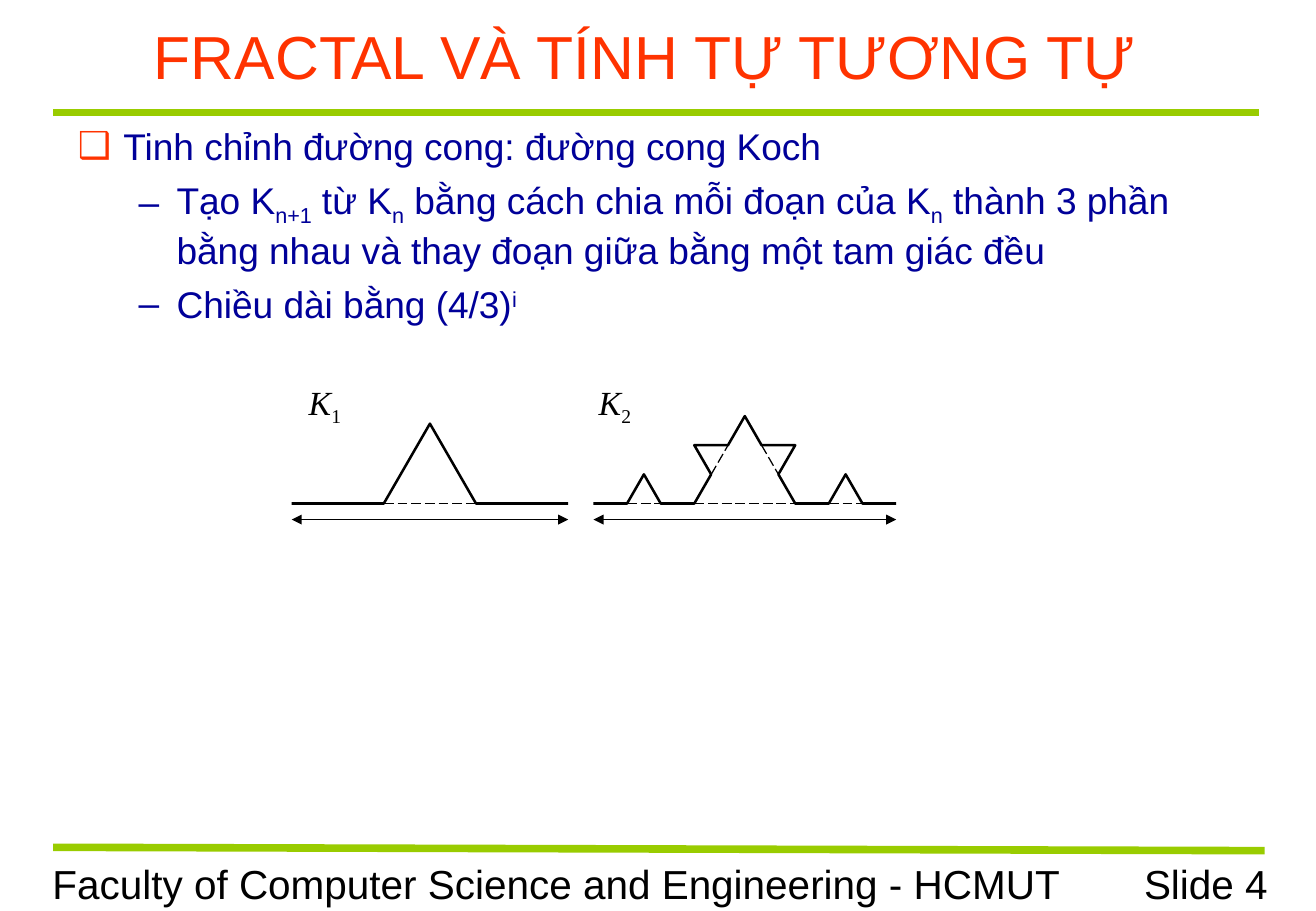
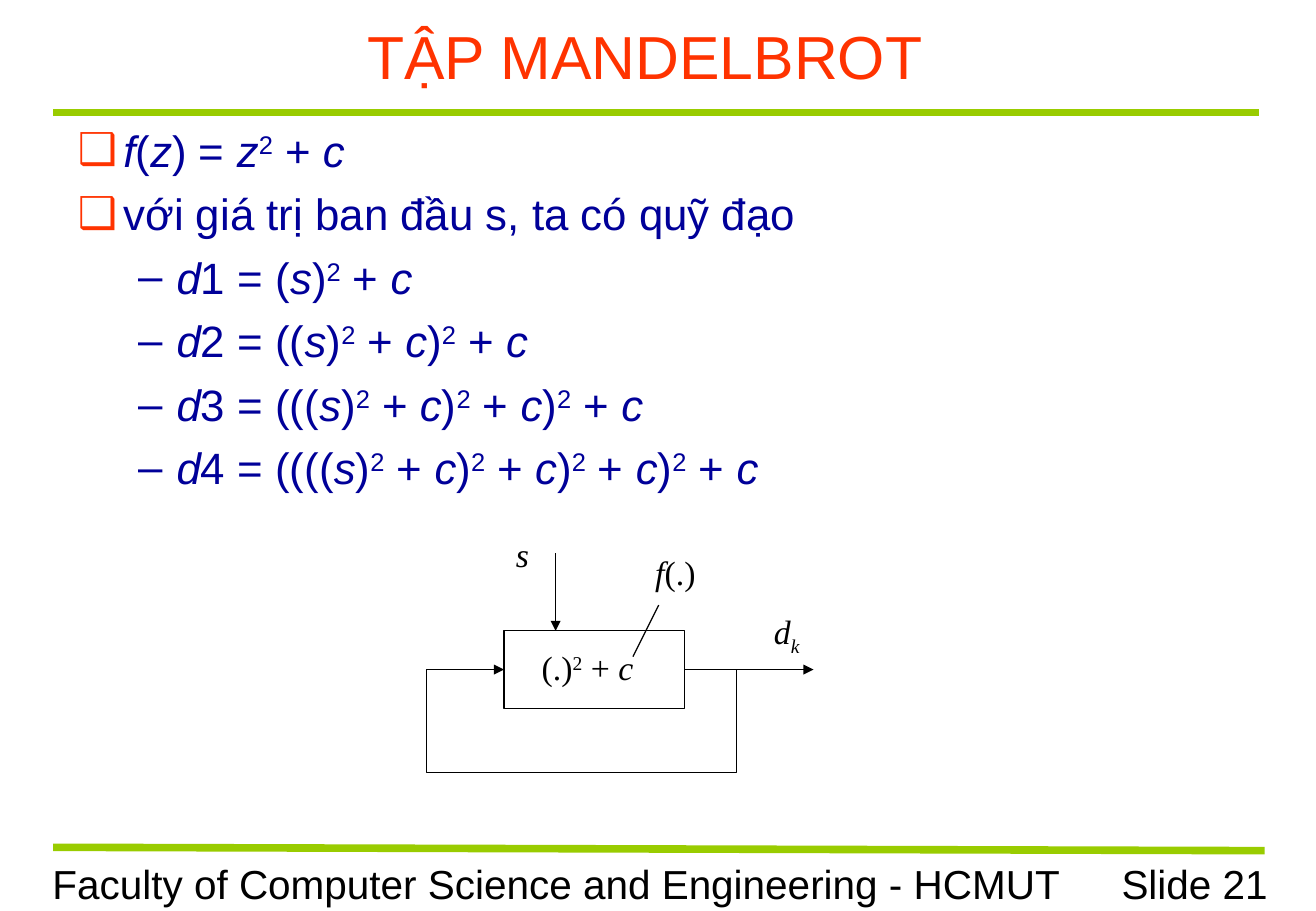
from math import cos, pi, sin

from lxml.etree import SubElement
from pptx import Presentation
from pptx.dml.color import RGBColor
from pptx.enum.dml import MSO_LINE
from pptx.enum.shapes import MSO_CONNECTOR, MSO_SHAPE
from pptx.enum.text import MSO_ANCHOR, MSO_AUTO_SIZE, PP_ALIGN
from pptx.oxml.ns import qn
from pptx.util import Pt

BLACK = RGBColor(0x00, 0x00, 0x00)
WHITE = RGBColor(0xFF, 0xFF, 0xFF)
GREEN = RGBColor(0x99, 0xCC, 0x00)
ORANGE = RGBColor(0xFF, 0x33, 0x00)
NAVY = RGBColor(0x00, 0x00, 0x99)
SANS, SERIF = "Arial", "Times New Roman"
FOOTER = "Faculty of Computer Science and Engineering - HCMUT"
BASELINES = {"^": "30000", "_": "-25000"}
# Bullet of each list level: sign, colour, left margin, hanging indent
BULLETS = [("❑", ORANGE, 27, 27), ("–", NAVY, 58.5, 22.5)]


# ---- Text ----
def add_runs(p, marked, size, color, font):
    """Runs are parted by |; a leading / is italic, ^ superscript, _ subscript."""
    for piece in marked.split("|"):
        baseline = BASELINES.get(piece[0])
        text = piece[1:] if baseline else piece
        italic = text.startswith("/")
        r = p.add_run()
        r.text = text[1:] if italic else text
        r.font.name, r.font.size = font, Pt(size)
        r.font.color.rgb = color
        r.font.italic = italic
        r.font.bold = False
        if baseline:
            r.font._element.set("baseline", baseline)


def place(sp, x, y, w, h):
    sp.left, sp.top, sp.width, sp.height = Pt(x), Pt(y), Pt(w), Pt(h)


def add_label(s, x, y, w, h, marked, size=20, font=SERIF, align=PP_ALIGN.LEFT):
    tf = s.shapes.add_textbox(Pt(x), Pt(y), Pt(w), Pt(h)).text_frame
    tf.word_wrap = True
    p = tf.paragraphs[0]
    p.alignment = align
    add_runs(p, marked, size, BLACK, font)


def add_bullet(p, level):
    sign, color, margin, hanging = BULLETS[level]
    p.level = level
    pPr = p._p.get_or_add_pPr()
    pPr.set("marL", str(Pt(margin)))
    pPr.set("indent", str(-Pt(hanging)))
    SubElement(SubElement(pPr, qn("a:buClr")), qn("a:srgbClr"), val=str(color))
    SubElement(pPr, qn("a:buChar"), char=sign)


# ---- Lines ----
def style_line(sp, width, color=BLACK, dash=None, ends=()):
    sp.line.width = Pt(width)
    sp.line.color.rgb = color
    if dash:
        sp.line.dash_style = dash
    ln = sp._element.spPr.find(qn("a:ln"))
    for end in ends:
        SubElement(ln, qn(f"a:{end}"), type="triangle")


def add_line(s, start, end, width=0.75, **style):
    points = [Pt(v) for v in (*start, *end)]
    sp = s.shapes.add_connector(MSO_CONNECTOR.STRAIGHT, *points)
    style_line(sp, width, **style)
    SubElement(sp._element.spPr, qn("a:effectLst"))
    return sp


def add_polyline(s, points, width, **style):
    first, *rest = [(Pt(x), Pt(y)) for x, y in points]
    builder = s.shapes.build_freeform(*first)
    builder.add_line_segments(rest, close=False)
    sp = builder.convert_to_shape()
    sp.fill.background()
    sp.shadow.inherit = False
    style_line(sp, width, **style)


# ---- Slide frame ----
def add_frame(prs, title, number):
    s = prs.slides.add_slide(prs.slide_layouts[1])
    add_label(s, 615.5, 505.5, 143.5, 36, f"Slide {number}", 24, SANS, PP_ALIGN.RIGHT)
    add_line(s, (31.5, 66.75), (746.5, 66.75), 4.5, color=GREEN)
    add_line(s, (31.5, 502.25), (750, 504.25), 4.5, color=GREEN)
    add_label(s, 24, 505.5, 613.5, 36, FOOTER, 24, SANS)

    place(s.shapes.title, 24, 7.5, 717, 50.5)
    tf = s.shapes.title.text_frame
    tf.auto_size = MSO_AUTO_SIZE.NONE
    tf.vertical_anchor = MSO_ANCHOR.MIDDLE
    p = tf.paragraphs[0]
    p.alignment = PP_ALIGN.CENTER
    add_runs(p, title, 36, ORANGE, SANS)
    return s


def fill_body(s, height, size, items):
    body = s.placeholders[1]
    place(body, 39, 69.5, 702, height)
    tf = body.text_frame
    tf.auto_size = MSO_AUTO_SIZE.NONE
    for i, (level, marked) in enumerate(items):
        p = tf.add_paragraph() if i else tf.paragraphs[0]
        add_bullet(p, level)
        p.space_before = Pt(size / 4 if i else 0)
        add_runs(p, marked, size, NAVY, SANS)


# ---- Koch curves ----
def refine(points):
    """Replace each middle third by two sides of an equilateral triangle."""
    refined, bases = [points[0]], []
    for (x0, y0), (x1, y1) in zip(points, points[1:]):
        dx, dy = (x1 - x0) / 3, (y1 - y0) / 3
        a, b = (x0 + dx, y0 + dy), (x1 - dx, y1 - dy)
        c, d = cos(pi / 3), sin(pi / 3)
        apex = (a[0] + dx * c + dy * d, a[1] - dx * d + dy * c)
        refined += [a, apex, b, (x1, y1)]
        bases.append((a, b))
    return refined, bases


def draw_koch(s, x, y, w, order, label_dx):
    base = y + 76
    points, removed = [(x, base), (x + w, base)], []
    for _ in range(order):
        points, bases = refine(points)
        removed += bases
    add_polyline(s, points, 1.5)
    for start, end in removed:
        add_line(s, start, end, dash=MSO_LINE.LONG_DASH)
    add_label(s, x + label_dx, y, 48, 36, f"/K|_{order}")
    add_line(s, (x, base + 9.5), (x + w, base + 9.5), ends=("headEnd", "tailEnd"))


# ---- Feedback loop, on a grid of equal cells ----
def draw_loop(s, x, y, cell):
    def at(col, row):
        return x + col * cell, y + row * cell

    arrow = ("tailEnd",)
    box = s.shapes.add_shape(MSO_SHAPE.RECTANGLE, 0, 0, 0, 0)
    place(box, *at(3, 4), 7 * cell, 3 * cell)
    box.shadow.inherit = False
    box.fill.solid()
    box.fill.fore_color.rgb = WHITE
    style_line(box, 0.75)

    output = add_line(s, at(10, 5.5), at(15, 5.5), ends=arrow)
    output.begin_connect(box, 3)
    feedback = [at(12, 5.5), at(12, 9.5), at(0, 9.5), at(0, 5.5), at(3, 5.5)]
    add_polyline(s, feedback, 0.75, ends=arrow)
    add_line(s, at(5, 1), at(5, 4), ends=arrow)

    labels = [(4, 4.4, 6, "(.)|^2| + |/c"), (13, 3, 3, "/d|_/k"),
              (3, 0, 3, "/s"), (8.4, 0.7, 4, "/f|(.)")]
    for col, row, cols, marked in labels:
        add_label(s, *at(col, row), cols * cell, 3 * cell, marked)
    add_line(s, at(9, 3), at(8, 5))


# ---- Slides ----
def koch_slide(prs):
    s = add_frame(prs, "FRACTAL VÀ TÍNH TỰ TƯƠNG TỰ", 4)
    fill_body(s, 134.5, 22, [
        (0, "Tinh chỉnh đường cong: đường cong Koch"),
        (1, "Tạo K|_n+1| từ K|_n| bằng cách chia mỗi đoạn của K|_n"
            "| thành 3 phần bằng nhau và thay đoạn giữa bằng một tam giác đều"),
        (1, "Chiều dài bằng (4/3)|^i"),
    ])
    draw_koch(s, 173, 222.5, 164, 1, 3)
    draw_koch(s, 352, 222.5, 179.5, 2, -4)


def mandelbrot_slide(prs):
    s = add_frame(prs, "TẬP MANDELBROT", 21)
    orbit = [(1, f"/d|{k} = {'(' * k}|/s" + "|)|^2| + |/c" * k) for k in range(1, 5)]
    fill_body(s, 230.5, 26, [
        (0, "/f|(|/z|) = |/z|^2| + |/c"),
        (0, "với giá trị ban đầu s, ta có quỹ đạo"),
        *orbit,
    ])
    draw_loop(s, 253, 312.75, 15.3)


def main():
    prs = Presentation()
    prs.slide_width, prs.slide_height = Pt(780.48), Pt(540)
    # The custom size replaces the preset 4:3 format
    prs.element.find(qn("p:sldSz")).attrib.pop("type", None)
    koch_slide(prs)
    mandelbrot_slide(prs)
    prs.save("out.pptx")


if __name__ == "__main__":
    main()
